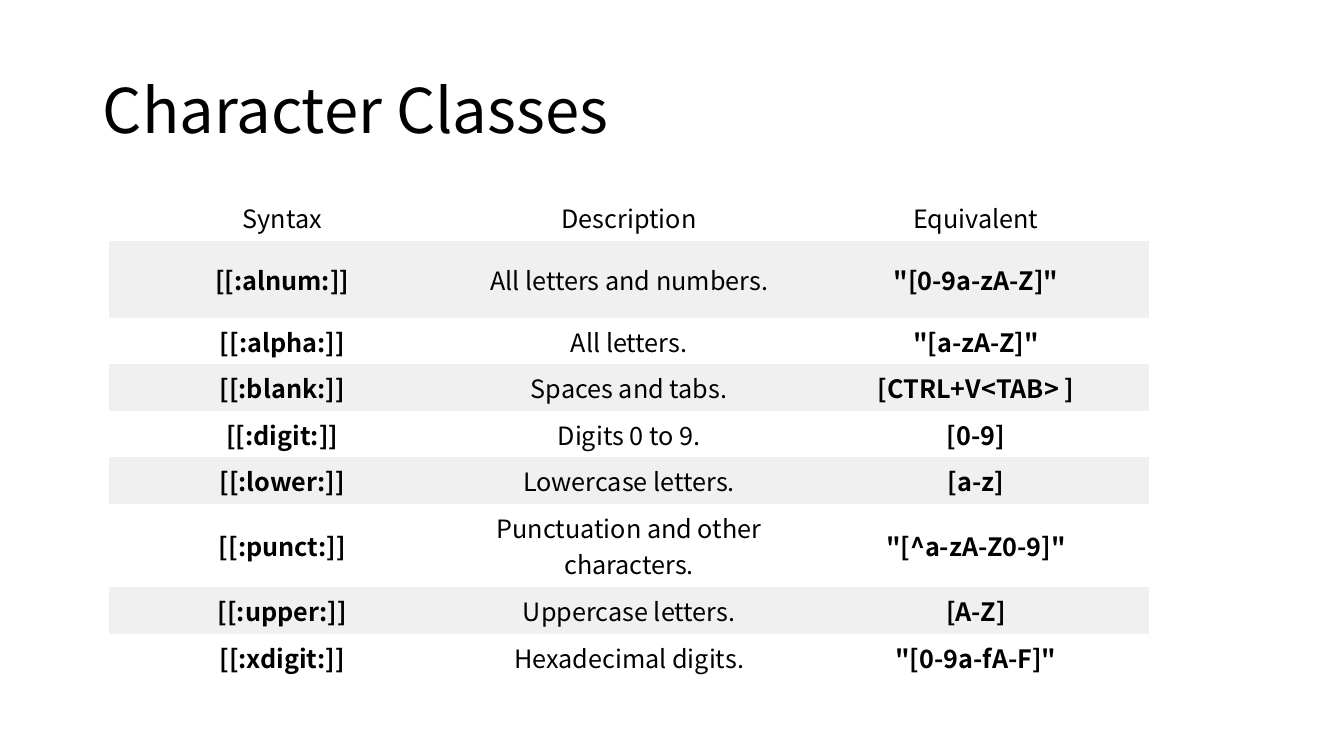
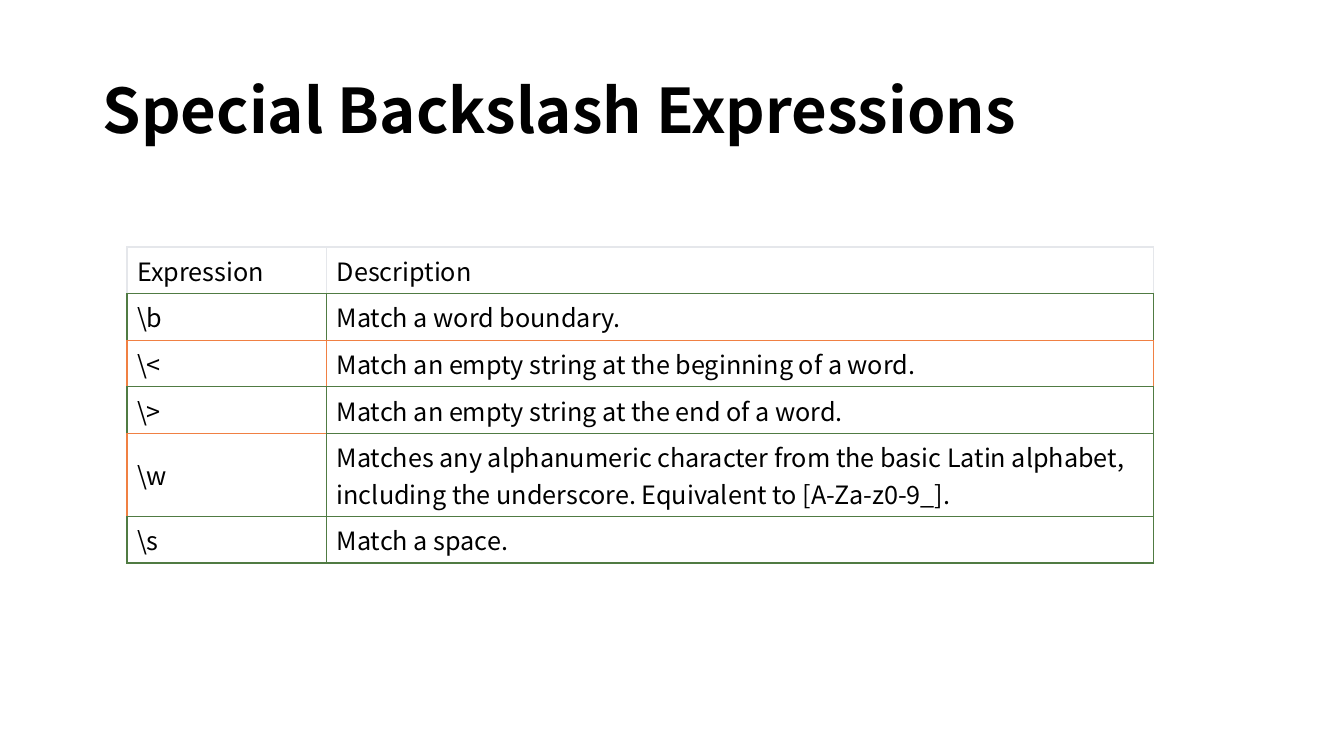
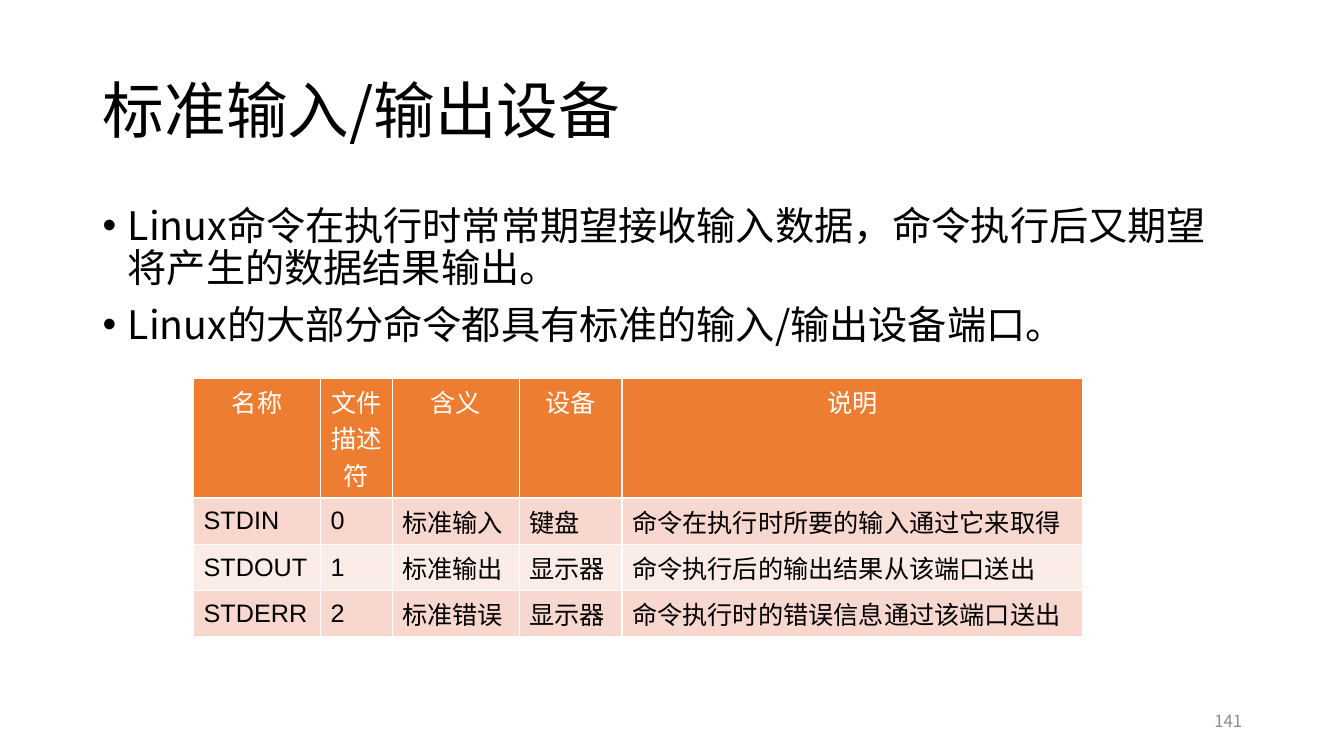
from lxml.etree import SubElement
from pptx import Presentation
from pptx.dml.color import RGBColor
from pptx.enum.text import MSO_ANCHOR, MSO_AUTO_SIZE, PP_ALIGN
from pptx.oxml.ns import qn
from pptx.util import Pt

PX = 9144  # 100 px to the inch
SANS, ARIAL = "Noto Sans CJK SC", "Arial"
NO_GRID_STYLE = "{2D5ABB26-0587-4C30-8999-92F81FD0307C}"
COLOURS = {
    "ink": "000000", "white": "FFFFFF", "stripe": "F0F0F0", "number": "8C8C8C",
    "grey": "E5E7EB", "green": "507B43", "orange": "F08043",
    "header": "ED7D31", "band": "F8D7CE", "pale": "FCECE8",
}
TITLE_BOX = (92, 40, 1150, 145)
BODY_BOX = (92, 200, 1150, 476)
NUMBER_BOX = (942, 695, 300, 40)

CLASSES = [
    ("Syntax", "Description", "Equivalent"),
    ("[[:alnum:]]", "All letters and numbers.", '"[0-9a-zA-Z]"'),
    ("[[:alpha:]]", "All letters.", '"[a-zA-Z]"'),
    ("[[:blank:]]", "Spaces and tabs.", "[CTRL+V<TAB> ]"),
    ("[[:digit:]]", "Digits 0 to 9.", "[0-9]"),
    ("[[:lower:]]", "Lowercase letters.", "[a-z]"),
    ("[[:punct:]]", "Punctuation and other characters.", '"[^a-zA-Z0-9]"'),
    ("[[:upper:]]", "Uppercase letters.", "[A-Z]"),
    ("[[:xdigit:]]", "Hexadecimal digits.", '"[0-9a-fA-F]"'),
]
CLASS_HEIGHTS = [44, 76, 44, 44, 44, 44, 76, 44, 44]

EXPRESSIONS = [
    ("Expression", "Description"),
    (r"\b", "Match a word boundary."),
    (r"\<", "Match an empty string at the beginning of a word."),
    (r"\>", "Match an empty string at the end of a word."),
    (r"\w", "Matches any alphanumeric character from the basic Latin alphabet, "
            "including the underscore. Equivalent to [A-Za-z0-9_]."),
    (r"\s", "Match a space."),
]
EXPRESSION_LINES = [
    ("grey", "grey"), ("green", "green"), ("orange", "orange"),
    ("green", "green"), ("orange", "green"), ("green", "green"),
]

DEVICE_POINTS = [
    "Linux命令在执行时常常期望接收输入数据，命令执行后又期望将产生的数据结果输出。",
    "Linux的大部分命令都具有标准的输入/输出设备端口。",
]
DEVICES = [
    ("名称", "文件描述符", "含义", "设备", "说明"),
    ("STDIN", "0", "标准输入", "键盘", "命令在执行时所要的输入通过它来取得"),
    ("STDOUT", "1", "标准输出", "显示器", "命令执行后的输出结果从该端口送出"),
    ("STDERR", "2", "标准错误", "显示器", "命令执行时的错误信息通过该端口送出"),
]
DEVICE_HEIGHTS = [119, 46, 46, 46]


def rgb(name):
    return RGBColor.from_string(COLOURS[name])


def write(frame, *lines, size=18, font=SANS, colour="ink", bold=False,
          align=PP_ALIGN.LEFT, spacing=None, before=0, hang=0, bullet=None):
    for index, line in enumerate(lines):
        paragraph = frame.add_paragraph() if index else frame.paragraphs[0]
        paragraph.alignment = align
        if spacing:
            paragraph.line_spacing = spacing
        if before and index:
            paragraph.space_before = Pt(before)
        props = paragraph._p.get_or_add_pPr()
        if hang:
            props.set("marL", str(hang * PX))
            props.set("indent", str(-hang * PX))
        if bullet:
            SubElement(props, qn("a:buFont"), typeface=ARIAL)
            SubElement(props, qn("a:buChar"), char=bullet)
        run = paragraph.add_run()
        run.text = line
        run.font.size, run.font.bold, run.font.name = Pt(size), bold, font
        run.font.color.rgb = rgb(colour)
        SubElement(run._r.get_or_add_rPr(), qn("a:ea"), typeface=SANS)


def add_titled_slide(deck, title, bold=False):
    slide = deck.slides.add_slide(deck.slide_layouts[5])
    heading = slide.shapes.title
    heading.left, heading.top, heading.width, heading.height = (
        n * PX for n in TITLE_BOX)
    frame = heading.text_frame
    frame.auto_size = MSO_AUTO_SIZE.NONE
    frame.vertical_anchor = MSO_ANCHOR.MIDDLE
    write(frame, title, size=44, bold=bold, spacing=0.9)
    return slide


def add_text(slide, box, *lines, anchor=MSO_ANCHOR.TOP, **style):
    frame = slide.shapes.add_textbox(*(n * PX for n in box)).text_frame
    frame.word_wrap = True
    frame.vertical_anchor = anchor
    write(frame, *lines, **style)


def draw_borders(cell, borders):
    """Borders map L, R, T, B, in that order, to (colour, points)."""
    props = cell._tc.get_or_add_tcPr()
    for side, (colour, points) in borders.items():
        line = SubElement(props, qn(f"a:ln{side}"), w=str(Pt(points)))
        fill = SubElement(line, qn("a:solidFill"))
        SubElement(fill, qn("a:srgbClr"), val=COLOURS[colour])


def add_grid(slide, left, top, widths, heights, rows, look):
    """look(row, column) gives fill, borders, anchor and text style of a cell."""
    table = slide.shapes.add_table(
        len(rows), len(widths), left * PX, top * PX,
        sum(widths) * PX, sum(heights) * PX).table
    table.first_row = table.horz_banding = False
    table._tbl.tblPr.find(qn("a:tableStyleId")).text = NO_GRID_STYLE
    for column, width in zip(table.columns, widths):
        column.width = width * PX
    for r, (texts, height) in enumerate(zip(rows, heights)):
        table.rows[r].height = height * PX
        for c, text in enumerate(texts):
            cell = table.cell(r, c)
            fill, borders, anchor, style = look(r, c)
            draw_borders(cell, borders)
            if fill:
                cell.fill.solid()
                cell.fill.fore_color.rgb = rgb(fill)
            else:
                cell.fill.background()
            cell.vertical_anchor = anchor
            write(cell.text_frame, text, **style)


def class_look(row, column):
    style = {"bold": row > 0 and column != 1, "align": PP_ALIGN.CENTER}
    return "stripe" if row % 2 else None, {}, MSO_ANCHOR.MIDDLE, style


def expression_look(row, column):
    """Each cell takes its right and bottom lines from its neighbours."""
    last_row, last_column = len(EXPRESSION_LINES) - 1, 1
    own = EXPRESSION_LINES[row][column]
    right = EXPRESSION_LINES[row][min(column + 1, last_column)]
    below = EXPRESSION_LINES[min(row + 1, last_row)][column]
    borders = {
        "L": (own, 1), "R": (right, 1),
        "T": (own, 0.75 if row else 1),
        "B": (below, 0.75 if row < last_row else 1),
    }
    return "white", borders, MSO_ANCHOR.MIDDLE, {}


def device_look(row, column):
    borders = {side: ("white", 1) for side in "LRTB"}
    if row == 0:
        style = {"colour": "white", "align": PP_ALIGN.CENTER}
        return "header", borders, MSO_ANCHOR.TOP, style
    fill = "band" if row % 2 else "pale"
    return fill, borders, MSO_ANCHOR.MIDDLE, {"font": ARIAL, "hang": 38}


def main():
    deck = Presentation()
    deck.slide_width, deck.slide_height = 1333 * PX, 750 * PX

    slide = add_titled_slide(deck, "Character Classes")
    add_grid(slide, 108, 193, [344] * 3, CLASS_HEIGHTS, CLASSES, class_look)

    slide = add_titled_slide(deck, "Special Backslash Expressions", bold=True)
    add_grid(slide, 126, 245, [198, 820], [45] * len(EXPRESSIONS),
             EXPRESSIONS, expression_look)

    slide = add_titled_slide(deck, "标准输入/输出设备")
    add_text(slide, BODY_BOX, *DEVICE_POINTS, size=28, spacing=0.9,
             before=10, hang=25, bullet="•")
    add_text(slide, NUMBER_BOX, "141", anchor=MSO_ANCHOR.MIDDLE, size=12,
             colour="number", align=PP_ALIGN.RIGHT)
    add_grid(slide, 192, 375, [126, 71, 126, 102, 457], DEVICE_HEIGHTS,
             DEVICES, device_look)

    deck.save("out.pptx")


if __name__ == "__main__":
    main()
